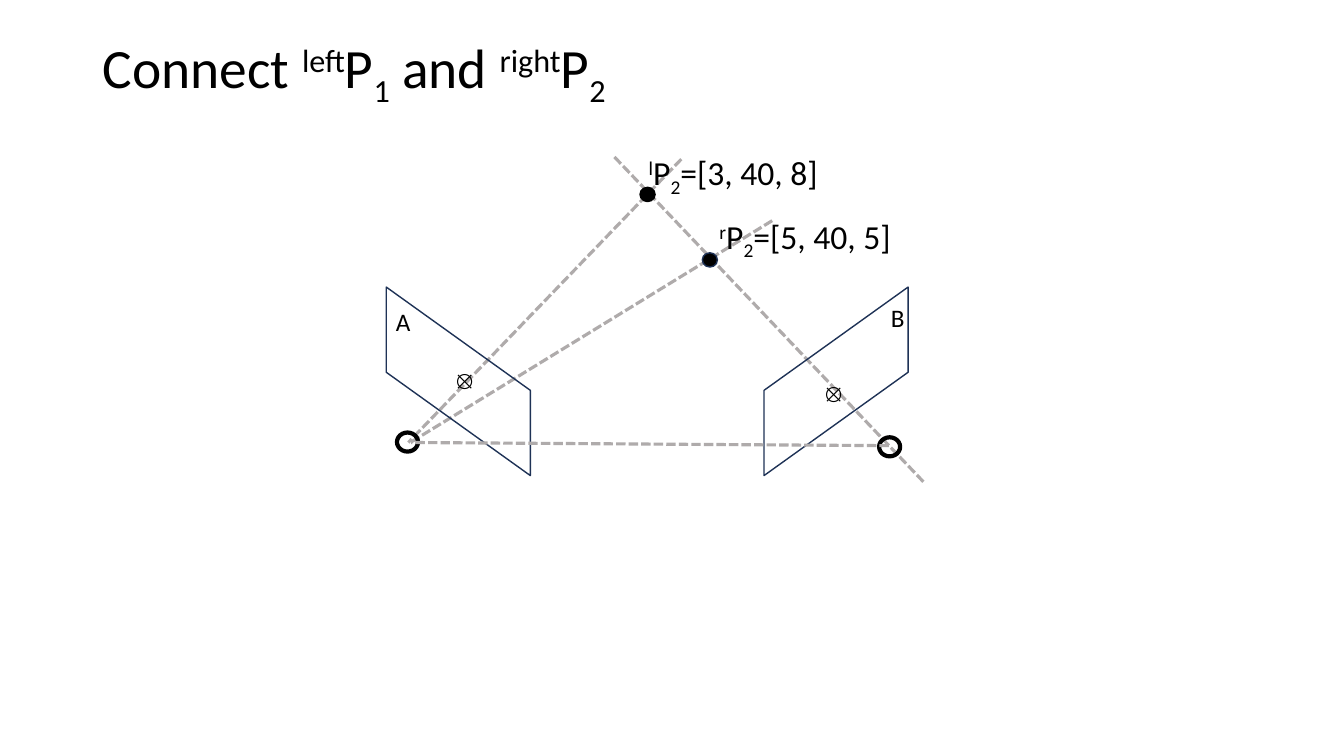
from pptx import Presentation
from pptx.dml.color import RGBColor
from pptx.enum.dml import MSO_LINE_DASH_STYLE as Dash
from pptx.enum.shapes import MSO_CONNECTOR as Connector, MSO_SHAPE as Shape
from pptx.enum.text import MSO_ANCHOR as Anchor, MSO_AUTO_SIZE as AutoSize, PP_ALIGN as Align
from pptx.oxml.ns import qn
from pptx.util import Cm, Pt
from lxml.etree import SubElement

BLACK = "000000"
NAVY = "1E3256"
GREY = "AFABAB"
SUPER = 30
SUB = -25


def color(value):
    return RGBColor.from_string(value)


def add_text(paragraph, text, size=18, font="Calibri", fill=BLACK, baseline=0):
    run = paragraph.add_run()
    run.text = text
    run.font.size = Pt(size)
    run.font.name = font
    run.font.color.rgb = color(fill)
    if baseline:
        run.font._element.set("baseline", str(baseline * 1000))


def add_label(slide, left, top, width, height, parts, **text_format):
    box = slide.shapes.add_textbox(Cm(left), Cm(top), Cm(width), Cm(height))
    box.text_frame.word_wrap = True
    for text, baseline in parts:
        add_text(box.text_frame.paragraphs[0], text, baseline=baseline, **text_format)


def add_centred_shape(slide, kind, x, y, width, height, line, weight=1, fill=None):
    shape = slide.shapes.add_shape(
        kind, Cm(x - width / 2), Cm(y - height / 2), Cm(width), Cm(height))
    shape.shadow.inherit = False
    shape.line.color.rgb = color(line)
    shape.line.width = Pt(weight)
    if fill:
        shape.fill.solid()
        shape.fill.fore_color.rgb = color(fill)
    else:
        shape.fill.background()
    return shape


def add_ray(slide, left, top, start, end):
    ray = slide.shapes.add_connector(
        Connector.STRAIGHT, Cm(left + start[0]), Cm(top + start[1]),
        Cm(left + end[0]), Cm(top + end[1]))
    ray.line.color.rgb = color(GREY)
    ray.line.width = Pt(2.25)
    ray.line.dash_style = Dash.SQUARE_DOT
    ray.line._ln.find(qn("a:prstDash")).set("val", "sysDash")
    SubElement(ray.element.spPr, qn("a:effectLst"))


def add_image_plane(slide, x, y, mirrored):
    plane = add_centred_shape(slide, Shape.PARALLELOGRAM, x, y, 4.75, 3.63, NAVY)
    plane.adjustments[0] = 0.717
    plane.rotation = 270 if mirrored else 90
    if mirrored:
        plane.element.spPr.get_or_add_xfrm().set("flipH", "1")


def add_title(slide, left, top, width, height):
    title = slide.shapes.title
    title.left, title.top, title.width, title.height = map(Cm, (left, top, width, height))
    frame = title.text_frame
    frame.word_wrap = True
    frame.auto_size = AutoSize.NONE
    frame.vertical_anchor = Anchor.MIDDLE
    paragraph = frame.paragraphs[0]
    paragraph.alignment = Align.LEFT
    paragraph.line_spacing = 0.9
    for text, baseline in (("Connect ", 0), ("left", SUPER), ("P", 0), ("1", SUB),
                           (" and ", 0), ("right", SUPER), ("P", 0), ("2", SUB)):
        add_text(paragraph, text, size=39.6, baseline=baseline)


def add_stereo_diagram(slide, left, top):
    for start, end in (((13.54, 8.43), (5.74, 0.23)),
                       ((7.44, 0.3), (0.56, 7.44)),
                       ((9.73, 1.85), (0.61, 7.44))):
        add_ray(slide, left, top, start, end)
    for x, mirrored in ((1.82, False), (11.34, True)):
        add_image_plane(slide, left + x, top + 5.9, mirrored)
    for x, y in ((0.54, 7.43), (12.69, 7.55)):
        add_centred_shape(slide, Shape.OVAL, left + x, top + y, 0.53, 0.48, BLACK, weight=3)
    for x, y, outline in ((6.59, 1.19, BLACK), (8.16, 2.84, NAVY)):
        add_centred_shape(slide, Shape.OVAL, left + x, top + y, 0.38, 0.36, outline, fill=BLACK)
    add_ray(slide, left, top, (12.67, 7.52), (0.63, 7.44))

    for x, y, text, font in ((1.52, 5.31, "⦻", "Roboto"), (10.82, 5.64, "⦻", "Roboto"),
                             (0, 3.88, "A", "Calibri"), (12.47, 3.78, "B", "Calibri")):
        add_label(slide, left + x, top + y, 0.86, 0.74, [(text, 0)], font=font)
    for x, y, side, values in ((8.15, 1.6, "r", "=[5, 40, 5]"), (6.37, 0, "l", "=[3, 40, 8]")):
        parts = [(side, SUPER), ("P", 0), ("2", SUB), (values, 0)]
        add_label(slide, left + x, top + y, 5.46, 1.27, parts, size=24)


def main():
    presentation = Presentation()
    presentation.slide_width = Cm(33.87)
    presentation.slide_height = Cm(19.05)
    slide = presentation.slides.add_slide(presentation.slide_layouts[5])
    add_title(slide, 2.34, 1.02, 29.21, 1.4)
    add_stereo_diagram(slide, 9.73, 3.71)
    presentation.save("out.pptx")


if __name__ == "__main__":
    main()
